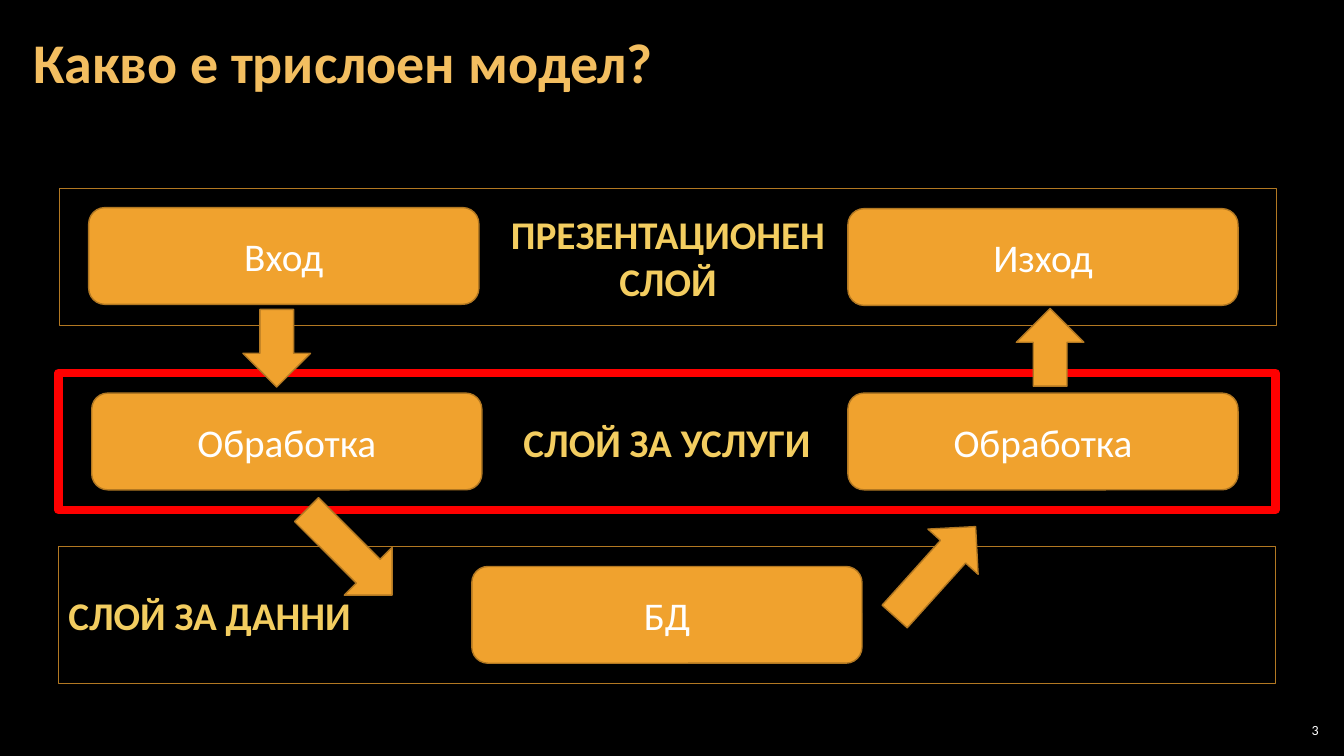
from pptx import Presentation
from pptx.dml.color import RGBColor
from pptx.enum.shapes import MSO_SHAPE
from pptx.enum.text import MSO_ANCHOR, PP_ALIGN
from pptx.util import Inches, Pt

RECT = MSO_SHAPE.RECTANGLE
ROUNDED = MSO_SHAPE.ROUNDED_RECTANGLE
ARROW = MSO_SHAPE.DOWN_ARROW
LEFT, CENTER, RIGHT = PP_ALIGN.LEFT, PP_ALIGN.CENTER, PP_ALIGN.RIGHT
MIDDLE = MSO_ANCHOR.MIDDLE

COLORS = {
    "background": "000000",
    "title": "F3BE60",
    "layer": "F3CD60",
    "step": "F0A22E",
    "outline": "B27822",
    "highlight": "FF0000",
    "white": "FFFFFF",
}
FONT = "Calibri"
LAYER_SIZE = (12.07, 1.36)
STEP_SIZE = (3.87, 0.96)


def rgb(name):
    """Return the named palette colour."""
    return RGBColor.from_string(COLORS[name])


def write(frame, text, size, color, bold=False, align=LEFT):
    """Put one formatted, vertically centred paragraph into a text frame."""
    frame.word_wrap = True
    frame.vertical_anchor = MIDDLE
    paragraph = frame.paragraphs[0]
    paragraph.text = text
    paragraph.alignment = align
    for run in paragraph.runs:
        run.font.name = FONT
        run.font.size = Pt(size)
        run.font.bold = bold
        run.font.color.rgb = rgb(color)
    return paragraph


def add_label(slide, box, text, size, color, side_inset, **style):
    """Add a text box and return its paragraph."""
    frame = slide.shapes.add_textbox(*map(Inches, box)).text_frame
    frame.margin_left = frame.margin_right = Inches(side_inset)
    frame.margin_top = frame.margin_bottom = Inches(0.04)
    return write(frame, text, size, color, **style)


def add_outlined(slide, kind, box, line="outline", width=1):
    """Add a shadowless shape with a coloured outline."""
    shape = slide.shapes.add_shape(kind, *map(Inches, box))
    shape.shadow.inherit = False
    shape.line.color.rgb = rgb(line)
    shape.line.width = Pt(width)
    return shape


def add_layer(slide, left, top, text, align=CENTER, **outline):
    """Add the unfilled frame of one layer with its name."""
    layer = add_outlined(slide, RECT, (left, top, *LAYER_SIZE), **outline)
    layer.fill.background()
    write(layer.text_frame, text, 28, "layer", bold=True, align=align)


def add_filled(slide, kind, box):
    """Add an outlined shape in the step colour."""
    shape = add_outlined(slide, kind, box)
    shape.fill.solid()
    shape.fill.fore_color.rgb = rgb("step")
    return shape


def add_step(slide, left, top, text):
    """Add a rounded box for one processing step."""
    step = add_filled(slide, ROUNDED, (left, top, *STEP_SIZE))
    write(step.text_frame, text, 28, "white", align=CENTER)


def add_arrow(slide, left, top, length, rotation):
    """Add a block arrow turned from pointing down."""
    add_filled(slide, ARROW, (left, top, 0.67, length)).rotation = rotation


def main():
    """Build the three-layer model slide."""
    prs = Presentation()
    prs.slide_width, prs.slide_height = Inches(13.33), Inches(7.5)
    slide = prs.slides.add_slide(prs.slide_layouts[6])
    slide.background.fill.solid()
    slide.background.fill.fore_color.rgb = rgb("background")

    add_label(slide, (12.65, 7.14, 0.47, 0.21), "3", 10, "white", 0.04, align=RIGHT)
    title = add_label(slide, (0.21, 0.04, 10.47, 1.21), "Какво е трислоен модел?",
                      40, "title", 0.12, bold=True)
    title.line_spacing = 0.9

    add_layer(slide, 0.59, 1.87, "ПРЕЗЕНТАЦИОНЕН\nСЛОЙ")
    add_layer(slide, 0.58, 3.7, "СЛОЙ ЗА УСЛУГИ", line="highlight", width=6)
    add_layer(slide, 0.58, 5.42, "СЛОЙ ЗА ДАННИ", align=LEFT)

    for left, top, text in (
        (0.88, 2.06, "Вход"),
        (8.41, 2.07, "Изход"),
        (0.91, 3.9, "Обработка"),
        (8.41, 3.9, "Обработка"),
        (4.68, 5.62, "БД"),
    ):
        add_step(slide, left, top, text)

    for left, top, length, rotation in (
        (2.41, 3.07, 0.77, 0),
        (3.13, 4.88, 1.2, 315),
        (8.94, 5.07, 1.2, 222),
        (10.08, 3.06, 0.77, 180),
    ):
        add_arrow(slide, left, top, length, rotation)

    prs.save("out.pptx")


if __name__ == "__main__":
    main()
